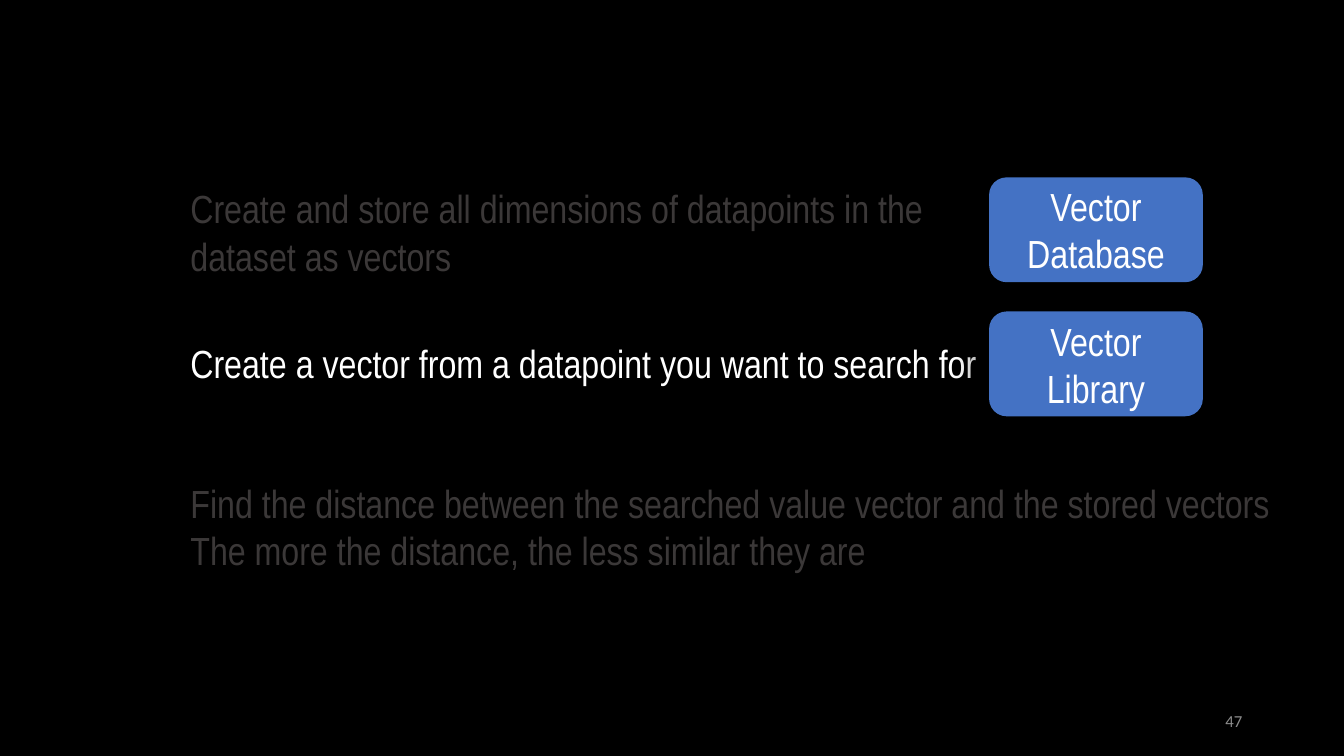
from dataclasses import dataclass

from lxml.etree import SubElement
from pptx import Presentation
from pptx.dml.color import RGBColor
from pptx.enum.shapes import MSO_SHAPE as Preset
from pptx.enum.text import MSO_ANCHOR as Anchor, MSO_AUTO_SIZE as AutoSize, PP_ALIGN as Align
from pptx.oxml.ns import qn
from pptx.shapes.autoshape import Shape
from pptx.slide import Slide
from pptx.util import Inches, Pt

BLACK, WHITE, DIMMED, BLUE, GREY = "000000", "FFFFFF", "3B3838", "4472C4", "8C8C8C"
STEP_LEFT = 1.79
TOOL_LEFT, TOOL_TOP, TOOL_PITCH = 9.81, 1.76, 1.33
TOOL_WIDTH, TOOL_HEIGHT = 2.12, 1.04


@dataclass(frozen=True)
class Step:
    lines: tuple[str, ...]
    top: float
    width: float
    height: float
    color: str = DIMMED
    wrap: bool = False


STEPS = (
    Step(("Create and store all dimensions of datapoints in the dataset as vectors",),
         1.78, 7.91, 1.04, wrap=True),
    Step(("Create a vector from a datapoint you want to search for",),
         3.31, 8.25, 0.57, WHITE),
    Step(("Find the distance between the searched value vector and the stored vectors",
          "The more the distance, the less similar they are"),
         4.7, 11.01, 1.04),
)
TOOLS = ("Vector Database", "Vector Library")


def rgb(color: str) -> RGBColor:
    return RGBColor.from_string(color)


def write(shape: Shape, lines: tuple[str, ...], color: str, align: Align = Align.LEFT,
          font: str = "Arial Narrow", size: float = 28, wrap: bool = True,
          auto_size: AutoSize = AutoSize.NONE) -> None:
    frame = shape.text_frame
    frame.text = "\n".join(lines)
    frame_format = {"word_wrap": wrap, "auto_size": auto_size, "vertical_anchor": Anchor.MIDDLE}
    for name, value in frame_format.items():
        setattr(frame, name, value)
    for paragraph in frame.paragraphs:
        paragraph.alignment = align
        for run in paragraph.runs:
            for name, value in {"name": font, "size": Pt(size)}.items():
                setattr(run.font, name, value)
            run.font.color.rgb = rgb(color)


def cast_shadow(shape: Shape) -> None:
    """Give the shape a soft black shadow towards its lower left."""
    shape.shadow.inherit = False
    effects = shape.element.spPr.find(qn("a:effectLst"))
    shadow = SubElement(effects, qn("a:outerShdw"), {
        "blurRad": str(Pt(11.8)), "dist": str(Pt(19.7)), "dir": str(141 * 60000),
        "algn": "ctr", "rotWithShape": "0"})
    tint = SubElement(shadow, qn("a:srgbClr"), val=BLACK)
    SubElement(tint, qn("a:alpha"), val="28000")


def add_step(slide: Slide, step: Step) -> None:
    box = slide.shapes.add_textbox(Inches(STEP_LEFT), Inches(step.top),
                                   Inches(step.width), Inches(step.height))
    write(box, step.lines, step.color, wrap=step.wrap, auto_size=AutoSize.SHAPE_TO_FIT_TEXT)


def add_tool(slide: Slide, label: str, row: int) -> None:
    tool = slide.shapes.add_shape(Preset.ROUNDED_RECTANGLE, Inches(TOOL_LEFT),
                                  Inches(TOOL_TOP + row * TOOL_PITCH),
                                  Inches(TOOL_WIDTH), Inches(TOOL_HEIGHT))
    tool.fill.solid()
    tool.fill.fore_color.rgb = rgb(BLUE)
    tool.line.fill.background()
    cast_shadow(tool)
    write(tool, (label,), WHITE, Align.CENTER)


def add_page_number(slide: Slide, number: int) -> None:
    box = slide.shapes.add_textbox(Inches(9.42), Inches(6.95), Inches(3), Inches(0.4))
    write(box, (str(number),), GREY, Align.RIGHT, "Calibri", 12)


def main() -> None:
    deck = Presentation()
    deck.slide_width, deck.slide_height = Inches(13.33), Inches(7.5)
    slide = deck.slides.add_slide(deck.slide_layouts[6])
    slide.background.fill.solid()
    slide.background.fill.fore_color.rgb = rgb(BLACK)
    for step in STEPS:
        add_step(slide, step)
    for row, label in enumerate(TOOLS):
        add_tool(slide, label, row)
    add_page_number(slide, 47)
    deck.save("out.pptx")


if __name__ == "__main__":
    main()
